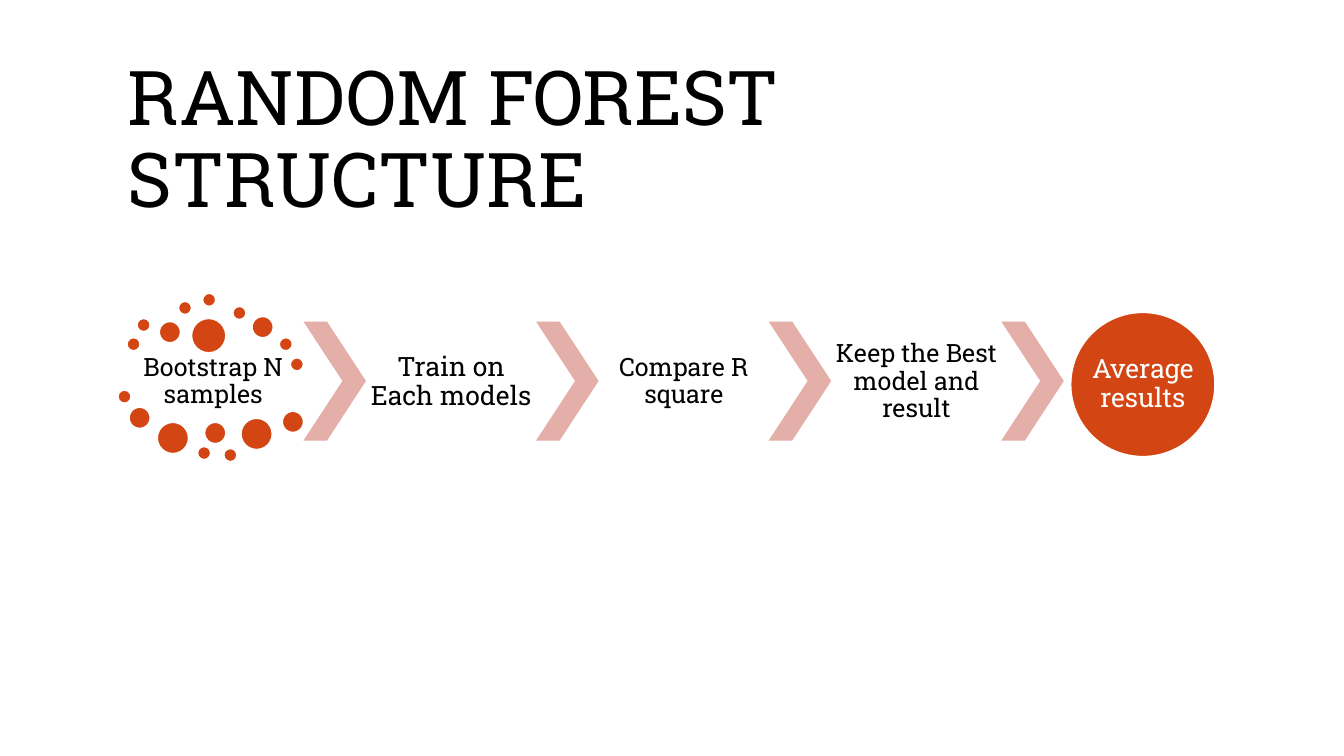
from pptx import Presentation
from pptx.dml.color import RGBColor
from pptx.enum.shapes import MSO_SHAPE
from pptx.enum.text import MSO_ANCHOR, PP_ALIGN
from pptx.util import Inches, Pt

COLORS = {"ink": "000000", "paper": "FFFFFF", "accent": "D34614", "arrow": "E5AFA9"}
FONT = "Roboto Slab"
CELL = Inches(0.1)


class FlowSlide:
    def __init__(self, deck):
        self.slide = deck.slides.add_slide(deck.slide_layouts[6])

    def color(self, name):
        return RGBColor.from_string(COLORS[name])

    def box(self, col, row, cols, rows):
        return [round(n * CELL) for n in (col, row, cols, rows)]

    def text(self, words, area, size, color="ink", align=PP_ALIGN.CENTER, inset=(0.2, 0.2)):
        frame = self.slide.shapes.add_textbox(*self.box(*area)).text_frame
        frame.word_wrap = True
        frame.vertical_anchor = MSO_ANCHOR.MIDDLE
        frame.margin_left = frame.margin_right = round(inset[0] * CELL)
        frame.margin_top = frame.margin_bottom = round(inset[1] * CELL)
        frame.text = words
        paragraph = frame.paragraphs[0]
        paragraph.alignment = align
        paragraph.line_spacing = 0.9
        font = paragraph.runs[0].font
        font.name, font.size = FONT, Pt(size)
        font.color.rgb = self.color(color)

    def shape(self, kind, area, fill):
        shape = self.slide.shapes.add_shape(kind, *self.box(*area))
        shape.shadow.inherit = False
        shape.fill.solid()
        shape.fill.fore_color.rgb = self.color(fill)
        return shape

    def circle(self, x, y, diameter):
        area = (x - diameter / 2, y - diameter / 2, diameter, diameter)
        line = self.shape(MSO_SHAPE.OVAL, area, "accent").line
        line.color.rgb = self.color("paper")
        line.width = Pt(1)

    def chevron(self, *area):
        arrow = self.shape(MSO_SHAPE.CHEVRON, area, "arrow")
        arrow.adjustments[0] = 0.623
        arrow.line.fill.background()


deck = Presentation()
deck.slide_width, deck.slide_height = Inches(13.33), Inches(7.5)
flow = FlowSlide(deck)

flow.text("RANDOM FOREST STRUCTURE", (11.7, 5.3, 110, 17.6), 54,
          align=PP_ALIGN.LEFT, inset=(1, 0.5))

sample_dots = {
    1.3: [(13.25, 34.15), (14.25, 32.25), (18.35, 30.55), (20.75, 29.75), (23.75, 31.05),
          (28.35, 34.15), (29.45, 36.15), (12.35, 39.35), (20.25, 44.95), (22.85, 45.15)],
    2.1: [(16.85, 32.95), (26.05, 32.45), (13.85, 41.45), (21.35, 42.95), (29.05, 41.85)],
    3.1: [(17.15, 43.45), (25.45, 43.05)],
    3.4: [(20.7, 33.3)],
}
for diameter, centers in sample_dots.items():
    for x, y in centers:
        flow.circle(x, y, diameter)

STEP_WIDTH, ARROW_WIDTH, STEP_HEIGHT = 16.9, 6.2, 11.8
FIRST_ARROW, PITCH = 30.1, 23.07
flow.text("Bootstrap N samples", (12.7, 35.1, STEP_WIDTH, 5.6), 18)
steps = [("Train on Each models", 19), ("Compare R square", 18),
         ("Keep the Best model and result", 18)]
for index in range(len(steps) + 1):
    flow.chevron(FIRST_ARROW + index * PITCH, 31.9, ARROW_WIDTH, STEP_HEIGHT)
for index, (words, size) in enumerate(steps):
    left = FIRST_ARROW + ARROW_WIDTH + index * PITCH
    flow.text(words, (left, 32, STEP_WIDTH, STEP_HEIGHT), size)

flow.circle(113.35, 38.15, 14.3)
flow.text("Average results", (108.3, 33.1, 10.1, 10.1), 19, "paper", inset=(0, 0))

deck.save("out.pptx")
